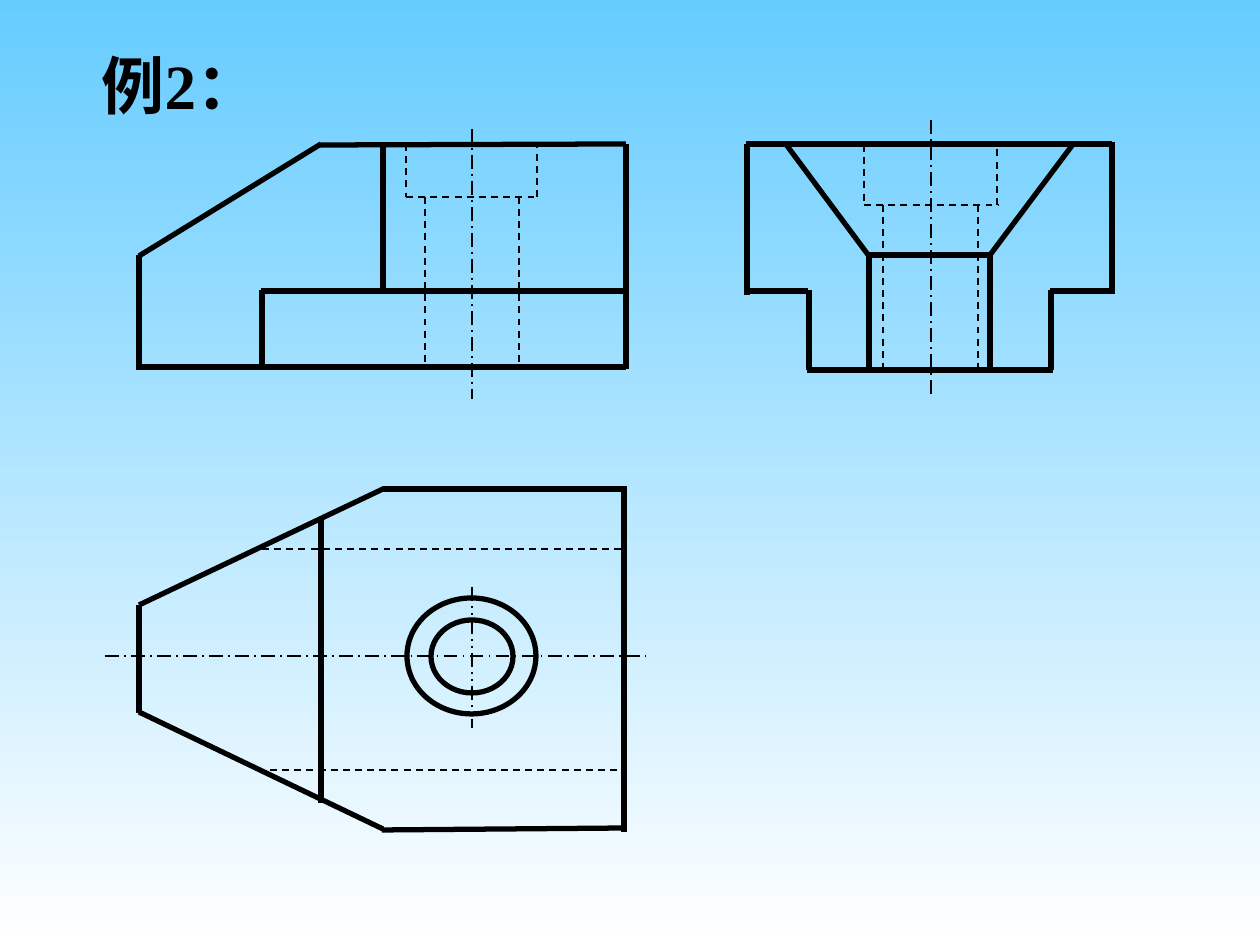
from lxml import etree
from pptx import Presentation
from pptx.dml.color import RGBColor
from pptx.enum.dml import MSO_LINE
from pptx.enum.shapes import MSO_CONNECTOR, MSO_SHAPE
from pptx.enum.text import MSO_ANCHOR, MSO_AUTO_SIZE, PP_ALIGN
from pptx.oxml.ns import qn
from pptx.util import Emu, Pt

STRAIGHT = MSO_CONNECTOR.STRAIGHT
ELLIPSE = MSO_SHAPE.OVAL
BLACK = RGBColor(0, 0, 0)
SKY = RGBColor(0x66, 0xCC, 0xFF)
WHITE = RGBColor(0xFF, 0xFF, 0xFF)

PX = 914400 / 126
TITLE = "例2："
TITLE_BOX = (74, 40, 213, 88)

STYLES = {
    "visible": (3, MSO_LINE.SOLID),
    "hidden": (1, MSO_LINE.DASH),
    "axis": (1, MSO_LINE.LONG_DASH_DOT),
    "short axis": (1, MSO_LINE.DASH_DOT_DOT),
}

FRONT_VIEW = {
    "hidden": [
        (406, 144, 406, 197), (406, 197, 538, 197), (537, 197, 537, 144),
        (425, 197, 425, 370), (519, 197, 519, 367),
    ],
    "axis": [(472, 129, 472, 399)],
    "visible": [
        (139, 255, 139, 370), (139, 367, 626, 367), (626, 369, 626, 144),
        (626, 144, 320, 145), (321, 144, 139, 256), (383, 145, 383, 290),
        (262, 290, 262, 368), (261, 291, 626, 291),
    ],
}
SIDE_VIEW = {
    "axis": [(931, 120, 931, 398)],
    "visible": [
        (747, 291, 808, 291), (809, 290, 809, 370), (807, 370, 1053, 370),
        (1051, 370, 1051, 290), (1050, 291, 1115, 291), (1112, 292, 1112, 142),
        (1112, 144, 746, 144), (747, 144, 747, 295), (869, 256, 869, 370),
        (869, 255, 990, 255), (990, 255, 990, 370), (990, 255, 1074, 143),
        (869, 256, 785, 143),
    ],
    "hidden": [
        (864, 145, 864, 205), (864, 205, 998, 205), (997, 205, 997, 144),
        (883, 205, 883, 370), (978, 205, 978, 374),
    ],
}
TOP_VIEW = {
    "axis": [(105, 656, 645, 656)],
    "short axis": [(472, 587, 472, 728)],
    "visible": [
        (382, 489, 626, 489), (624, 486, 624, 832), (626, 828, 382, 830),
        (383, 829, 139, 712), (383, 489, 139, 605), (139, 605, 139, 713),
        (321, 519, 321, 803),
    ],
    "hidden": [(262, 549, 624, 549), (270, 770, 622, 770)],
}
HOLE_CIRCLES = [(431, 620, 82, 73), (407, 598, 129, 116)]


def px(*lengths):
    return [Emu(round(length * PX)) for length in lengths]


def style_line(line, style):
    width, dash = STYLES[style]
    line.color.rgb = BLACK
    line.width = Pt(width)
    line.dash_style = dash


def draw_view(slide, view, circles=()):
    group = slide.shapes.add_group_shape()
    for style, segments in view.items():
        for segment in segments:
            edge = group.shapes.add_connector(STRAIGHT, *px(*segment))
            style_line(edge.line, style)
            etree.SubElement(edge._element.spPr, qn("a:effectLst"))
    for box in circles:
        circle = group.shapes.add_shape(ELLIPSE, *px(*box))
        circle.shadow.inherit = False
        circle.fill.background()
        style_line(circle.line, "visible")


def add_title(slide):
    title = slide.shapes.title
    title.left, title.top, title.width, title.height = px(*TITLE_BOX)
    frame = title.text_frame
    frame.text = TITLE
    frame.word_wrap = False
    frame.auto_size = MSO_AUTO_SIZE.SHAPE_TO_FIT_TEXT
    frame.vertical_anchor = MSO_ANCHOR.MIDDLE
    paragraph = frame.paragraphs[0]
    paragraph.alignment = PP_ALIGN.CENTER
    font = paragraph.font
    font.name = "Times New Roman"
    font.size = Pt(36)
    font.bold = True
    font.color.rgb = BLACK


def main():
    presentation = Presentation()
    presentation.slide_width, presentation.slide_height = px(1260, 945)
    slide = presentation.slides.add_slide(presentation.slide_layouts[5])

    background = slide.background.fill
    background.gradient()
    background.gradient_angle = 270
    for stop, color in zip(background.gradient_stops, (SKY, WHITE)):
        stop.color.rgb = color

    draw_view(slide, FRONT_VIEW)
    draw_view(slide, SIDE_VIEW)
    draw_view(slide, TOP_VIEW, HOLE_CIRCLES)
    add_title(slide)
    presentation.save("out.pptx")


if __name__ == "__main__":
    main()
